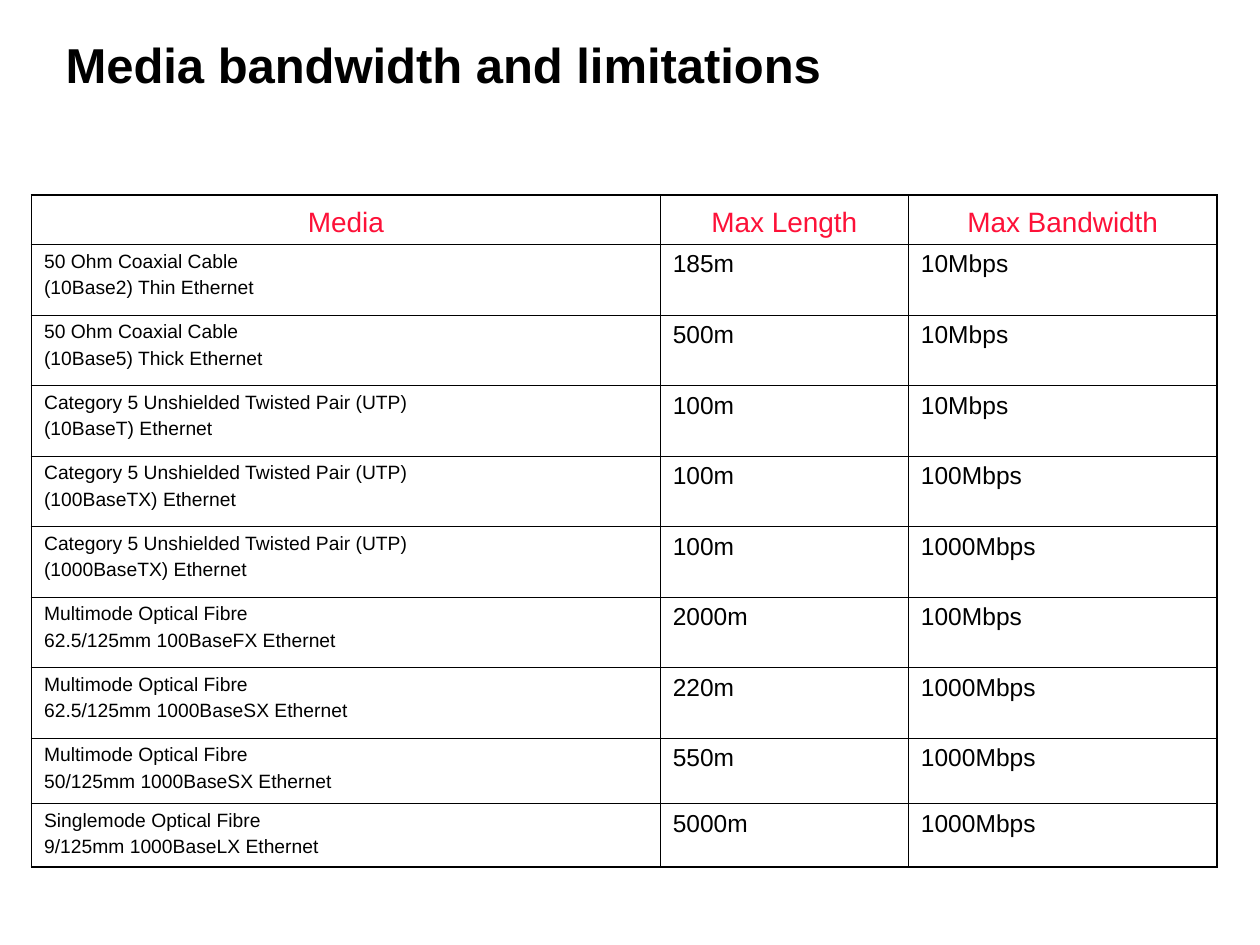
from lxml.etree import SubElement
from pptx import Presentation
from pptx.dml.color import RGBColor as RGB
from pptx.enum.text import MSO_ANCHOR as ANCHOR, PP_ALIGN as ALIGN
from pptx.oxml.ns import qn
from pptx.util import Inches, Pt

TITLE = "Media bandwidth and limitations"
HEADS = ("Media", "Max Length", "Max Bandwidth")
UTP = "Category 5 Unshielded Twisted Pair (UTP)"
COAX = "50 Ohm Coaxial Cable"
MULTI = "Multimode Optical Fibre"
MEDIA = [
    (f"{COAX}\n(10Base2) Thin Ethernet", "185m", "10Mbps"),
    (f"{COAX}\n(10Base5) Thick Ethernet", "500m", "10Mbps"),
    (f"{UTP}\n(10BaseT) Ethernet", "100m", "10Mbps"),
    (f"{UTP}\n(100BaseTX) Ethernet", "100m", "100Mbps"),
    (f"{UTP}\n(1000BaseTX) Ethernet", "100m", "1000Mbps"),
    (f"{MULTI}\n62.5/125mm 100BaseFX Ethernet", "2000m", "100Mbps"),
    (f"{MULTI}\n62.5/125mm 1000BaseSX Ethernet", "220m", "1000Mbps"),
    (f"{MULTI}\n50/125mm 1000BaseSX Ethernet", "550m", "1000Mbps"),
    ("Singlemode Optical Fibre\n9/125mm 1000BaseLX Ethernet", "5000m", "1000Mbps"),
]
COLORS = {"text": "000000", "head": "FD1138", "rule": "000000"}
FONT = "Arial"
COLS = (4.99, 1.97, 2.45)
ROWS = (0.39, *[0.56] * 7, 0.52, 0.5)
THIN, THICK = 0.45, 1.08
# (size, space before) in points
HEAD, NAME, VALUE = (16, 4), (11, 2.8), (14, 3.5)


def style(para, size, color, gap=0, align=ALIGN.LEFT):
    para.alignment = align
    para.space_before = Pt(gap)
    font = para.font
    font.name, font.size = FONT, Pt(size)
    font.color.rgb = RGB.from_string(COLORS[color])


def rule(cell, edges):
    """Draw the cell borders; edges tells which sides lie on the table's rim."""
    props = cell._tc.get_or_add_tcPr()
    for i, (side, rim) in enumerate(edges.items()):
        line = props.makeelement(qn(f"a:ln{side}"), w=str(Pt(THICK if rim else THIN)))
        fill = SubElement(line, qn("a:solidFill"))
        SubElement(fill, qn("a:srgbClr"), val=COLORS["rule"])
        props.insert(i, line)


def add_title(slide):
    title = slide.shapes.title
    title.left, title.top = Inches(0.42), Inches(0.17)
    title.width, title.height = Inches(9.25), Inches(0.67)
    frame = title.text_frame
    frame.text = TITLE
    frame.vertical_anchor = ANCHOR.MIDDLE
    para = frame.paragraphs[0]
    style(para, 28, "text")
    para.font.bold = True


def add_media(slide):
    data = [HEADS, *MEDIA]
    table = slide.shapes.add_table(
        len(ROWS), len(COLS), Inches(0.25), Inches(1.55),
        Inches(sum(COLS)), Inches(sum(ROWS))).table
    table.first_row = table.horz_banding = False
    for col, width in zip(table.columns, COLS):
        col.width = Inches(width)
    for row, height in zip(table.rows, ROWS):
        row.height = Inches(height)

    for r, texts in enumerate(data):
        for c, text in enumerate(texts):
            cell = table.cell(r, c)
            cell.text = text
            cell.fill.background()
            head = r == 0
            cell.vertical_anchor = ANCHOR.BOTTOM if head else ANCHOR.TOP
            size, gap = HEAD if head else VALUE if c else NAME
            for para in cell.text_frame.paragraphs:
                style(para, size, "head" if head else "text", gap,
                      ALIGN.CENTER if head else ALIGN.LEFT)
            rule(cell, {"L": c == 0, "R": c == len(COLS) - 1,
                        "T": head, "B": r == len(ROWS) - 1})


def main():
    deck = Presentation()
    deck.slide_width, deck.slide_height = Inches(10), Inches(7.5)
    slide = deck.slides.add_slide(deck.slide_layouts[5])
    add_title(slide)
    add_media(slide)
    deck.save("out.pptx")


if __name__ == "__main__":
    main()
